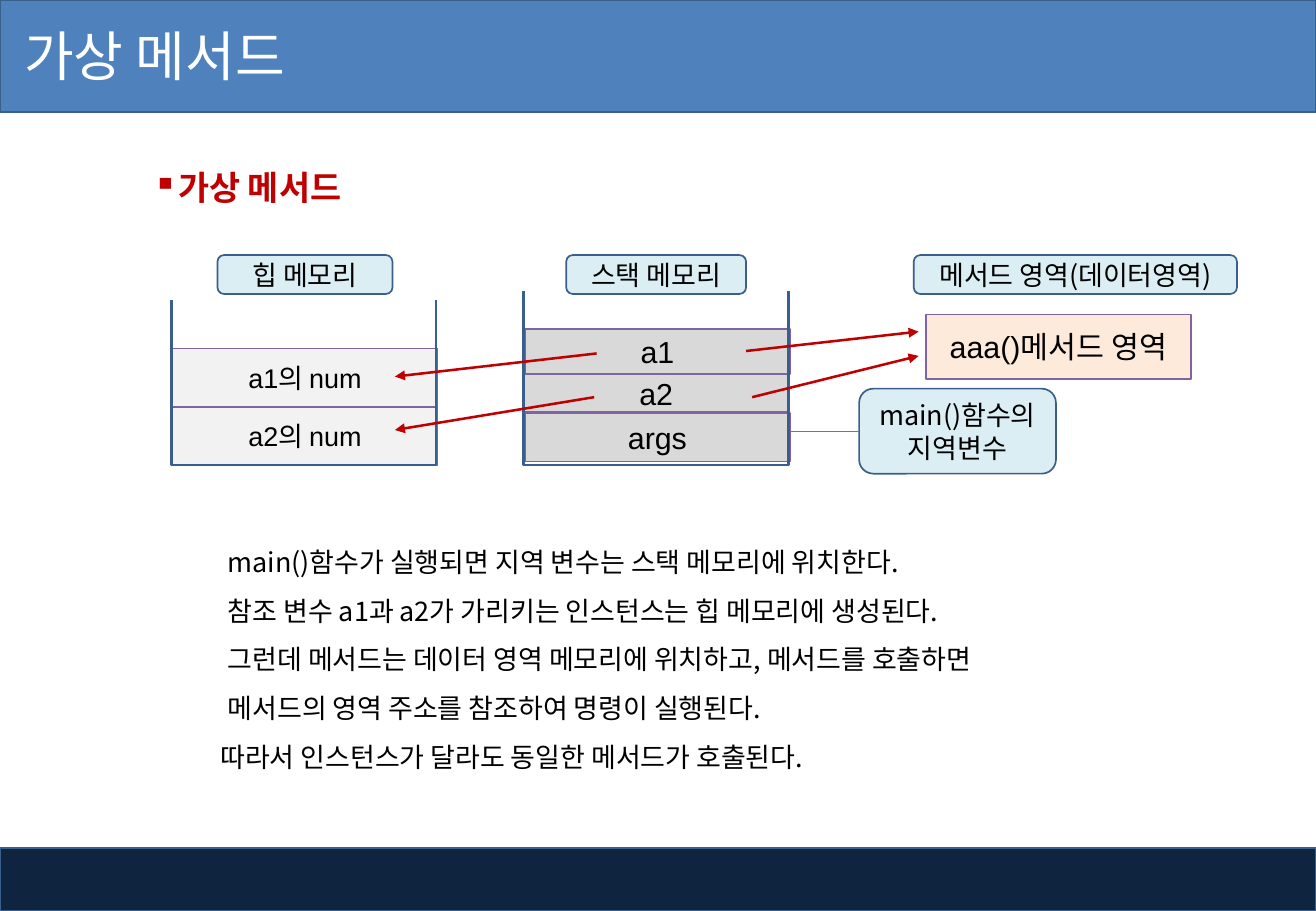
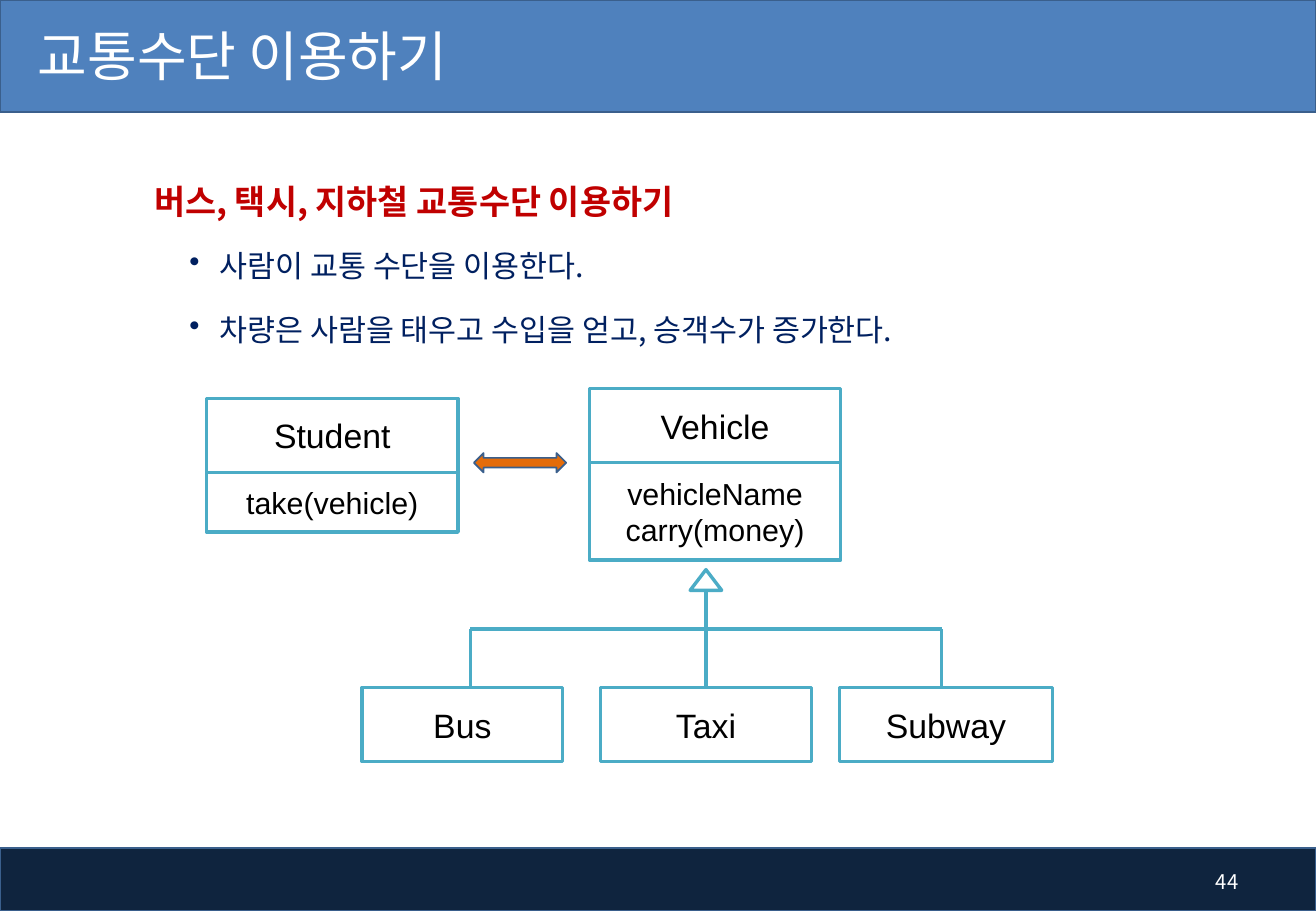
from lxml.etree import SubElement
from pptx import Presentation
from pptx.dml.color import RGBColor
from pptx.enum.shapes import MSO_CONNECTOR, MSO_SHAPE
from pptx.enum.text import MSO_ANCHOR, PP_ALIGN
from pptx.oxml.ns import qn
from pptx.util import Inches, Pt

KOREAN = "Noto Sans CJK KR"
LATIN = "Arial"
WHITE, BLACK, RED, NAVY = "FFFFFF", "000000", "C00000", "002060"
TITLE_BLUE, FOOTER_NAVY, OUTLINE_BLUE = "4F81BD", "0F243E", "3A5F8C"
LABEL_BLUE, PURPLE, TEAL, ORANGE = "DBEEF4", "8064A2", "4BACC6", "E46C0A"
HEAP_GREY, STACK_GREY, PEACH, CALLOUT_BLUE = "F2F2F2", "D9D9D9", "FDEADA", "4B7EBC"


def add_text(shape, text, size=16, font=KOREAN, color=BLACK, bold=False,
             align=PP_ALIGN.LEFT, spacing=None, before=0, left=0, first=0, bullet=None):
    """Append each line of text to the shape as a paragraph; indents are in inches."""
    frame = shape.text_frame
    for line in text.split("\n"):
        paragraph = frame.paragraphs[0] if not frame.text else frame.add_paragraph()
        paragraph.alignment = align
        paragraph.line_spacing = spacing
        paragraph.space_before = Pt(before)
        properties = paragraph._p.get_or_add_pPr()
        properties.set("marL", str(Inches(left)))
        properties.set("indent", str(Inches(first)))
        if bullet:
            SubElement(properties, qn("a:buChar")).set("char", bullet)
        run = paragraph.add_run()
        run.text = line
        run.font.size = Pt(size)
        run.font.bold = bold
        run.font.color.rgb = RGBColor.from_string(color)
        run.font.name = font
        SubElement(run._r.get_or_add_rPr(), qn("a:ea")).set("typeface", KOREAN)


def add_box(slide, left, top, width, height, kind=MSO_SHAPE.RECTANGLE, fill=None,
            line=None, line_width=1, margin=0.1, anchor=MSO_ANCHOR.MIDDLE):
    """Add a preset shape, or a text box when kind is None; lengths are in inches."""
    bounds = [Inches(value) for value in (left, top, width, height)]
    if kind is None:
        shape = slide.shapes.add_textbox(*bounds)
    else:
        shape = slide.shapes.add_shape(kind, *bounds)
        shape.shadow.inherit = False
        shape.fill.solid()
        shape.fill.fore_color.rgb = RGBColor.from_string(fill)
        if line:
            shape.line.color.rgb = RGBColor.from_string(line)
            shape.line.width = Pt(line_width)
        else:
            shape.line.fill.background()
    frame = shape.text_frame
    frame.word_wrap = True
    frame.vertical_anchor = anchor
    frame.margin_left = frame.margin_right = Inches(margin)
    return shape


presentation = Presentation()
presentation.slide_width = Inches(10.83)
presentation.slide_height = Inches(7.5)

# Title band and footer
for title, title_margin in (("가상 메서드", 0.2), ("교통수단 이용하기", 0.31)):
    slide = presentation.slides.add_slide(presentation.slide_layouts[6])
    add_box(slide, 0, 6.98, 10.83, 0.52, fill=FOOTER_NAVY, line=OUTLINE_BLUE)
    add_box(slide, 0, 0, 10.83, 0.92, fill=TITLE_BLUE, line=OUTLINE_BLUE)
    title_box = add_box(slide, 0, -0.02, 6.78, 0.94, kind=None, margin=title_margin)
    add_text(title_box, title, size=32, color=WHITE)
memory_slide, vehicle_slide = presentation.slides

# Memory slide: cells, containers and labels
memory_cells = [
    ("a2의 num", 1.42, 3.35, 0.48, HEAP_GREY, 16),
    ("a1의 num", 1.42, 2.87, 0.48, HEAP_GREY, 16),
    ("aaa()메서드 영역", 7.62, 2.59, 0.53, PEACH, 18),
    ("args", 4.32, 3.4, 0.4, STACK_GREY, 18),
    ("a2", 4.31, 3.08, 0.31, STACK_GREY, 18),
    ("a1", 4.32, 2.71, 0.37, STACK_GREY, 18),
]
for text, left, top, height, fill, size in memory_cells:
    cell = add_box(memory_slide, left, top, 2.18, height, fill=fill, line=PURPLE)
    add_text(cell, text, size=size, font=LATIN, align=PP_ALIGN.CENTER)

for left, top in ((1.41, 2.47), (4.31, 2.4)):
    right, bottom = left + 2.18, 3.83
    builder = memory_slide.shapes.build_freeform(Inches(left), Inches(top))
    corners = ((left, bottom), (right, bottom), (right, top))
    builder.add_line_segments([(Inches(x), Inches(y)) for x, y in corners], close=False)
    container = builder.convert_to_shape()
    container.shadow.inherit = False
    container.fill.background()
    container.line.color.rgb = RGBColor.from_string(OUTLINE_BLUE)
    container.line.width = Pt(1.5)

labels = [
    ("힙 메모리", 1.79, 2.1, 1.44, 0.32),
    ("스택 메모리", 4.66, 2.1, 1.48, 0.32),
    ("메서드 영역(데이터영역)", 7.52, 2.1, 2.66, 0.32),
    ("main()함수의\n지역변수", 7.07, 3.2, 1.62, 0.7),
]
for text, *bounds in labels:
    label = add_box(memory_slide, *bounds, kind=MSO_SHAPE.ROUNDED_RECTANGLE,
                    fill=LABEL_BLUE, line=OUTLINE_BLUE, margin=0.05)
    add_text(label, text, align=PP_ALIGN.CENTER)
callout = label

heading = add_box(memory_slide, 1.16, 1.16, 2.52, 0.54, kind=None, anchor=MSO_ANCHOR.TOP)
add_text(heading, "가상 메서드", size=20, color=RED, bold=True, spacing=1.5,
         left=0.16, first=-0.16, bullet="▪")

explanation = add_box(memory_slide, 1.63, 4.22, 7.56, 2.28,
                      kind=MSO_SHAPE.ROUNDED_RECTANGLE, fill=WHITE)
explanation.adjustments[0] = 0.13
add_text(explanation, "main()함수가 실행되면 지역 변수는 스택 메모리에 위치한다.\n"
         "참조 변수 a1과 a2가 가리키는 인스턴스는 힙 메모리에 생성된다.\n"
         "그런데 메서드는 데이터 영역 메모리에 위치하고, 메서드를 호출하면\n"
         "메서드의 영역 주소를 참조하여 명령이 실행된다.", spacing=1.5, left=0.06)
add_text(explanation, "따라서 인스턴스가 달라도 동일한 메서드가 호출된다.", spacing=1.5)

# Vehicle slide: text, class boxes and symbols
page_number = add_box(vehicle_slide, 9.68, 7.06, 0.61, 0.4, kind=None)
add_text(page_number, "44", size=12, color=WHITE, align=PP_ALIGN.RIGHT)

body = add_box(vehicle_slide, 0.96, 1.27, 7.53, 1.53, kind=None, anchor=MSO_ANCHOR.TOP)
add_text(body, "버스, 택시, 지하철 교통수단 이용하기", size=20, color=RED, bold=True,
         spacing=1.5, left=0.21)
add_text(body, "사람이 교통 수단을 이용한다.\n"
         "차량은 사람을 태우고 수입을 얻고, 승객수가 증가한다.", size=18, color=NAVY,
         spacing=1.5, before=5, left=0.75, first=-0.25, bullet="•")

class_boxes = [
    ("Student", 1.7, 3.28, 2.07, 0.61, 20),
    ("take(vehicle)", 1.7, 3.89, 2.07, 0.49, 18),
    ("Vehicle", 4.85, 3.2, 2.07, 0.61, 20),
    ("vehicleName\ncarry(money)", 4.85, 3.81, 2.07, 0.8, 18),
    ("Bus", 2.98, 5.66, 1.65, 0.61, 20),
    ("Taxi", 4.94, 5.66, 1.74, 0.61, 20),
    ("Subway", 6.91, 5.66, 1.75, 0.61, 20),
]
class_shapes = {}
for text, left, top, width, height, size in class_boxes:
    class_box = add_box(vehicle_slide, left, top, width, height,
                        fill=WHITE, line=TEAL, line_width=2)
    add_text(class_box, text, size=size, font=LATIN, align=PP_ALIGN.CENTER)
    class_shapes[text] = class_box

add_box(vehicle_slide, 5.68, 4.69, 0.26, 0.17, kind=MSO_SHAPE.ISOSCELES_TRIANGLE,
        fill=WHITE, line=TEAL, line_width=2)
add_box(vehicle_slide, 3.9, 3.73, 0.76, 0.16, kind=MSO_SHAPE.LEFT_RIGHT_ARROW,
        fill=ORANGE, line=OUTLINE_BLUE)

# Connectors: slide, ends, colour, width, arrowhead, joined shape and its side
connectors = [(memory_slide, (6.5, 3.55, 7.07, 3.55), CALLOUT_BLUE, 0.75, False, callout, 1)]
reference_arrows = [
    (4.91, 2.91, 3.25, 3.1),
    (4.89, 3.27, 3.25, 3.54),
    (6.14, 2.89, 7.56, 2.73),
    (6.19, 3.27, 7.56, 2.93),
]
for ends in reference_arrows:
    connectors.append((memory_slide, ends, RED, 1.5, True, None, None))

bus_x, trunk_x, subway_x, branch_y = 3.87, 5.81, 7.75, 5.18
inheritance_lines = [
    ((trunk_x, 4.86, trunk_x, branch_y), None),
    ((bus_x, branch_y, subway_x, branch_y), None),
    ((bus_x, branch_y, bus_x, 5.66), None),
    ((trunk_x, branch_y, trunk_x, 5.66), class_shapes["Taxi"]),
    ((subway_x, branch_y, subway_x, 5.66), None),
]
for ends, child in inheritance_lines:
    connectors.append((vehicle_slide, ends, TEAL, 2, False, child, 0))

for slide, ends, color, width, arrow, target, side in connectors:
    connector = slide.shapes.add_connector(
        MSO_CONNECTOR.STRAIGHT, *[Inches(value) for value in ends])
    connector.line.color.rgb = RGBColor.from_string(color)
    connector.line.width = Pt(width)
    if arrow:
        SubElement(connector.line._get_or_add_ln(), qn("a:tailEnd")).set("type", "triangle")
    SubElement(connector._element.spPr, qn("a:effectLst"))
    if target is not None:
        connector.end_connect(target, side)

presentation.save("out.pptx")
